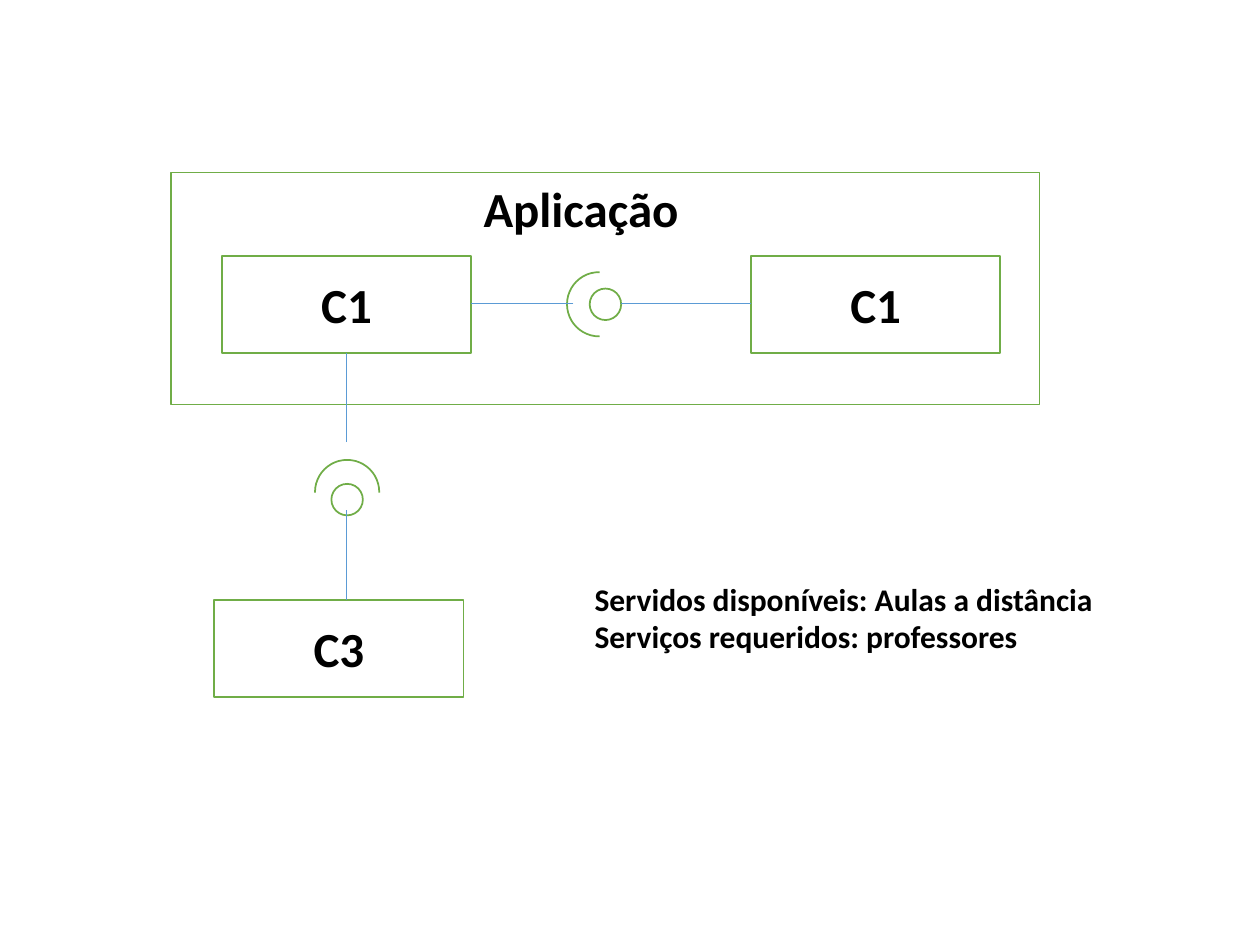
from dataclasses import dataclass

from lxml.etree import SubElement
from pptx import Presentation
from pptx.dml.color import RGBColor
from pptx.enum.shapes import MSO_CONNECTOR, MSO_SHAPE as Shape
from pptx.enum.text import MSO_ANCHOR, MSO_AUTO_SIZE, PP_ALIGN
from pptx.oxml.ns import qn
from pptx.util import Inches, Pt

COLORS = {"white": "FFFFFF", "outline": "70AD47", "link": "5B9BD5", "text": "000000"}
FONT = "Calibri"
COMPONENT_W, COMPONENT_H = 1.98, 0.77
SOCKET_SIZE, MASK_SIZE, BALL_SIZE = 0.51, 1.0, 0.25


@dataclass
class Component:
    name: str
    left: float
    top: float


@dataclass
class Interface:
    """A half-circle socket (required) facing a ball (provided)."""
    socket: tuple[float, float]
    mask: tuple[float, float]
    ball: tuple[float, float]


@dataclass
class Link:
    start: tuple[float, float]
    end: tuple[float, float]


@dataclass
class Label:
    lines: list[str]
    box: tuple[float, float, float, float]
    size: int


COMPONENTS = [
    Component("C1", 1.76, 2.03),
    Component("C1", 5.96, 2.03),
    Component("C3", 1.7, 4.76),
]
INTERFACES = [
    Interface(socket=(4.5, 2.16), mask=(4.76, 1.91), ball=(4.68, 2.29)),
    Interface(socket=(2.5, 3.65), mask=(2.25, 3.91), ball=(2.63, 3.84)),
]
LINKS = [
    Link((5.96, 2.41), (4.93, 2.41)),
    Link((4.55, 2.41), (3.74, 2.41)),
    Link((2.75, 3.51), (2.75, 2.8)),
    Link((2.75, 4.76), (2.75, 4.05)),
]
LABELS = [
    Label(["Aplicação"], (3.74, 1.37, 1.77, 0.57), 28),
    Label(["Servidos disponíveis: Aulas a distância",
           "Serviços requeridos: professores"], (4.62, 4.55, 4.18, 0.71), 18),
]


def color(key: str) -> RGBColor:
    return RGBColor.from_string(COLORS[key])


def draw_shape(shapes, kind: Shape, left: float, top: float,
               width: float, height: float, outlined: bool = True):
    shape = shapes.add_shape(kind, Inches(left), Inches(top), Inches(width), Inches(height))
    shape.shadow.inherit = False
    shape.fill.solid()
    shape.fill.fore_color.rgb = color("white")
    if outlined:
        shape.line.color.rgb = color("outline")
        shape.line.width = Pt(1)
    else:
        shape.line.fill.background()
    return shape


def write_line(paragraph, text: str, size: int) -> None:
    paragraph.text = text
    paragraph.font.name = FONT
    paragraph.font.size = Pt(size)
    paragraph.font.bold = True
    paragraph.font.color.rgb = color("text")


def draw_socket(shapes, interface: Interface) -> None:
    group = shapes.add_group_shape()
    draw_shape(group.shapes, Shape.OVAL, *interface.socket, SOCKET_SIZE, SOCKET_SIZE)
    draw_shape(group.shapes, Shape.RECTANGLE, *interface.mask, MASK_SIZE, MASK_SIZE,
               outlined=False)


def draw_component(shapes, component: Component) -> None:
    box = draw_shape(shapes, Shape.RECTANGLE, component.left, component.top,
                     COMPONENT_W, COMPONENT_H)
    frame = box.text_frame
    frame.vertical_anchor = MSO_ANCHOR.MIDDLE
    write_line(frame.paragraphs[0], component.name, 28)
    frame.paragraphs[0].alignment = PP_ALIGN.CENTER


def draw_link(shapes, link: Link) -> None:
    ends = [Inches(value) for value in (*link.start, *link.end)]
    connector = shapes.add_connector(MSO_CONNECTOR.STRAIGHT, *ends)
    connector.line.color.rgb = color("link")
    connector.line.width = Pt(0.5)
    SubElement(connector._element.spPr, qn("a:effectLst"))


def draw_label(shapes, label: Label) -> None:
    frame = shapes.add_textbox(*(Inches(value) for value in label.box)).text_frame
    frame.word_wrap = False
    frame.auto_size = MSO_AUTO_SIZE.SHAPE_TO_FIT_TEXT
    for index, text in enumerate(label.lines):
        paragraph = frame.add_paragraph() if index else frame.paragraphs[0]
        write_line(paragraph, text, label.size)


def main() -> None:
    deck = Presentation()
    deck.slide_width, deck.slide_height = Inches(10), Inches(7.5)
    shapes = deck.slides.add_slide(deck.slide_layouts[6]).shapes

    # Application boundary
    draw_shape(shapes, Shape.RECTANGLE, 1.36, 1.37, 6.89, 1.84)

    # Sockets go first, so their masks stay behind everything else
    for interface in INTERFACES:
        draw_socket(shapes, interface)
    for component in COMPONENTS:
        draw_component(shapes, component)
    for interface in INTERFACES:
        draw_shape(shapes, Shape.OVAL, *interface.ball, BALL_SIZE, BALL_SIZE)

    # Links and captions
    for link in LINKS:
        draw_link(shapes, link)
    for label in LABELS:
        draw_label(shapes, label)

    deck.save("out.pptx")


if __name__ == "__main__":
    main()
